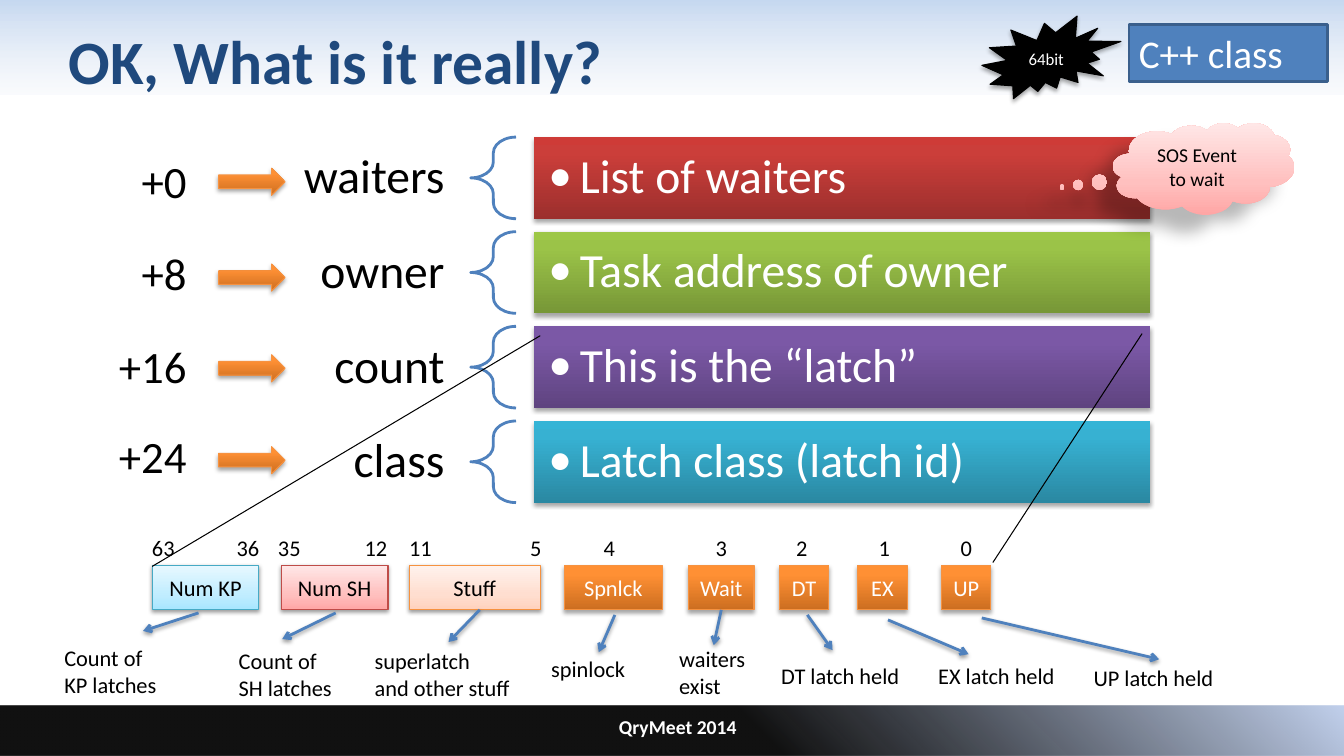
from lxml import etree
from pptx import Presentation
from pptx.dml.color import RGBColor
from pptx.enum import shapes, text
from pptx.oxml.ns import qn
from pptx.util import Pt

# Theme: colours, gradients (position, colour, opacity) and type sizes
def ramp(*cols, mid=80):
    return [(p, c, 100) for p, c in zip((0, mid, 100), cols)]


THEME = {
    "font": "Calibri", "ink": "000000", "white": "FFFFFF",
    "title": "1F497D", "blue": "4F81BD", "edge": "3A5F8C",
    "head": [(0, "C6D9F1", 100), (100, "E1E8F5", 16)],
    "foot": [(56, "000000", 93), (100, "C2D1ED", 100)],
    "red": ramp("9C2F2D", "CB3E3A", "CE3B37"),
    "green": ramp("779737", "9BC348", "9DC746"),
    "violet": ramp("5F4480", "7B58A6", "7C57A8"),
    "teal": ramp("2A88A2", "37B1D2", "34B4D6"),
    "orange": ramp("CC6E20", "FF9034", "FF9136"),
    "peach": ramp("FFD2BD", "FFDED0", "FFF2ED", mid=35),
    "pink": ramp("FFA6A5", "FFC0BF", "FFE7E7", mid=35),
    "sky": ramp("A7E6FF", "C1EDFF", "E7F8FF", mid=35),
    "rim": {"orange": "F69240", "peach": "F69240",
            "pink": "BF4C48", "sky": "46AAC5"},
    "size": {"title": 44, "bar": 34, "offset": 32, "tag": 28,
             "bit": 16, "small": 14, "seal": 12},
}
SOFT = (35, 3.1, 1.8, 90)     # opacity, blur, distance, angle
PALE = (38, 3.1, 1.6, 90)
DEEP = (28, 11.8, 19.7, 141)

# Content
FIELDS = [  # offset, its top, arrow top, field, meaning, colour
    ("+0", 106.6, 120.2, "waiters", "List of waiters", "red"),
    ("+8", 172.1, 188.6, "owner", "Task address of owner", "green"),
    ("+16", 238.3, 253.4, "count", "This is the “latch”", "violet"),
    ("+24", 302.4, 319, "class", "Latch class (latch id)", "teal"),
]
PARTS = [  # label, left, width, colour, caption, its place, arrow from, to
    ("Num KP", 108.7, 76.3, "sky", "Count of\nKP latches",
     (38.9, 456.5, 86.4), (141.8, 437.8), (102.2, 450.7)),
    ("Num SH", 200.9, 76.3, "pink", "Count of\nSH latches",
     (163.4, 458.6, 87.8), (239.8, 437.8), (201.6, 456.5)),
    ("Stuff", 292.3, 93.6, "peach", "superlatch\nand other stuff",
     (260.6, 458.6, 119.5), (342.7, 435.6), (320.4, 458.6)),
    ("Spnlck", 403.2, 69.8, "orange", "spinlock",
     (386.6, 464.4, 72.7), (439.2, 439.2), (427.7, 465.8)),
    ("Wait", 491.8, 46.8, "orange", "waiters\nexist",
     (478.1, 457.2, 69.1), (514.8, 434.9), (509.8, 460.8)),
    ("DT", 556.6, 35.3, "orange", "DT latch held",
     (550.8, 469.4, 107.3), (576.7, 439.2), (594.7, 464.4)),
    ("EX", 612.7, 35.3, "orange", "EX latch held",
     (663.1, 469.4, 105.8), (634.3, 442.8), (691.9, 467.3)),
    ("UP", 672.5, 35.3, "orange", "UP latch held",
     (774, 470.9, 108.7), (701.3, 441.4), (828, 470.9)),
]
BITS = [("63", 101.5), ("36", 162), ("35", 191.5), ("12", 253.4),
        ("11", 285.1), ("5", 371.5), ("4", 424.1), ("3", 504),
        ("2", 561.6), ("1", 620.6), ("0", 679)]
GUIDES = [((385.9, 239.8), (108.7, 404.6)), ((815.8, 238.3), (709.2, 401.8))]

deck = Presentation()
deck.slide_width, deck.slide_height = Pt(960), Pt(540)
slide = deck.slides.add_slide(deck.slide_layouts[6])
SHAPE, ALIGN, ANCHOR = shapes.MSO_SHAPE, text.PP_ALIGN, text.MSO_ANCHOR


# Helpers
def node(root, tag, **attrs):
    return etree.SubElement(root, qn(tag), {k: str(v) for k, v in attrs.items()})


def shade(root, hue, alpha):
    color = node(root, "a:srgbClr", val=hue)
    if alpha < 100:
        node(color, "a:alpha", val=alpha * 1000)


def cast(item, glow=None):
    props = item._element.spPr
    for old in props.findall(qn("a:effectLst")):
        props.remove(old)
    effects = node(props, "a:effectLst")
    if glow:
        alpha, blur, dist, angle = glow
        drop = node(effects, "a:outerShdw", blurRad=Pt(blur), dist=Pt(dist),
                    dir=angle * 60000, algn="ctr", rotWithShape=0)
        shade(drop, THEME["ink"], alpha)


def paint(item, stops, angle):
    item.fill.gradient()
    item.fill.gradient_angle = angle
    chain = item._element.spPr.find(qn("a:gradFill")).find(qn("a:gsLst"))
    for old in list(chain):
        chain.remove(old)
    for pos, hue, alpha in stops:
        shade(node(chain, "a:gs", pos=pos * 1000), hue, alpha)


def stroke(item, hue, width):
    item.line.color.rgb = RGBColor.from_string(hue)
    item.line.width = Pt(width)


def draw(kind, box, fill=None, line=None, width=0.75, glow=None, angle=90):
    item = slide.shapes.add_shape(kind, *map(Pt, box))
    if fill is None:
        item.fill.background()
    elif isinstance(fill, list):
        paint(item, fill, angle)
    else:
        item.fill.solid()
        item.fill.fore_color.rgb = RGBColor.from_string(fill)
    if line:
        stroke(item, line, width)
    else:
        item.line.fill.background()
    cast(item, glow)
    return item


def write(item, words, size, hue="ink", align=ALIGN.LEFT, anchor=ANCHOR.MIDDLE,
          bold=False, wrap=True, pad=(7.2, 3.6), space=None):
    frame = item.text_frame
    frame.text, frame.word_wrap, frame.vertical_anchor = words, wrap, anchor
    frame.margin_left = frame.margin_right = Pt(pad[0])
    frame.margin_top = frame.margin_bottom = Pt(pad[1])
    for para in frame.paragraphs:
        para.alignment, para.line_spacing = align, space
        font = para.font
        font.name, font.bold = THEME["font"], bold
        font.size = Pt(THEME["size"][size])
        font.color.rgb = RGBColor.from_string(THEME[hue])
    return frame


def label(box, words, size, **style):
    return write(slide.shapes.add_textbox(*map(Pt, box)), words, size, **style)


def link(start, end, hue, width):
    item = slide.shapes.add_connector(shapes.MSO_CONNECTOR.STRAIGHT,
                                      *map(Pt, start + end))
    stroke(item, hue, width)
    return item


# Bands, title and footer
draw(SHAPE.RECTANGLE, (0, 0, 960, 67.7), THEME["head"], angle=270)
draw(SHAPE.RECTANGLE, (0, 504, 960, 36), THEME["foot"], angle=45)
label((41.8, -2.2, 864, 90), "OK, What is it really?", "title",
      hue="title", bold=True)
label((272.2, 504, 424, 30.2), "QryMeet 2014", "small", hue="white",
      align=ALIGN.CENTER, bold=True)

# Class fields
for i, (offset, top, tip, name, sense, hue) in enumerate(FIELDS):
    y = 97.9 + 67.6 * i
    label((174.2, y + 2.9, 162, 53.3), name, "bar", align=ALIGN.RIGHT,
          pad=(18.7, 6.5), space=0.9)
    brace = draw(SHAPE.LEFT_BRACE, (336.2, y, 32.4, 58.3),
                 line=THEME["blue"], width=2)
    brace.adjustments[0] = 0.35
    bar = draw(SHAPE.RECTANGLE, (381.6, y, 439.9, 58.3), THEME[hue], glow=SOFT)
    frame = write(bar, sense, "bar", hue="white", pad=(10.1, 10.1), space=0.9)
    props = frame.paragraphs[0]._p.get_or_add_pPr()
    props.set("marL", str(Pt(22.5)))
    props.set("indent", str(-Pt(22.5)))
    node(props, "a:buFont", typeface=THEME["font"])
    node(props, "a:buChar", char="•")
    props.append(props.find(qn("a:defRPr")))  # bullets precede run defaults
    label((77.8, top, 62.6, 46.1), offset, "offset", align=ALIGN.RIGHT,
          anchor=ANCHOR.TOP)
    draw(SHAPE.RIGHT_ARROW, (156.2, tip, 47.5, 19.4), THEME["orange"],
         THEME["rim"]["orange"], glow=SOFT)

# Parts of the latch, with captions
ROW, TALL = 403.9, 31.7
for name, x, wide, hue, note, place, start, end in PARTS:
    strong = hue == "orange"
    box = draw(SHAPE.RECTANGLE, (x, ROW, wide, TALL), THEME[hue],
               THEME["rim"][hue], glow=SOFT if strong else PALE)
    write(box, name, "bit", hue="white" if strong else "ink",
          align=ALIGN.CENTER, wrap=False)
    arrow = link(start, end, THEME["blue"], 2)
    if abs(start[0] - x - wide / 2) < 1 and abs(start[1] - ROW - TALL) < 1:
        arrow.begin_connect(box, 2)
    node(arrow.line._get_or_add_ln(), "a:tailEnd", type="arrow")
    cast(arrow, PALE)
    high = 26.6 + 19.4 * note.count("\n")
    label((*place, high), note, "bit", anchor=ANCHOR.TOP, wrap=False)

# Zoom guides and bit numbers
for start, end in GUIDES:
    cast(link(start, end, THEME["ink"], 0.75))
for bit, x in BITS:
    label((x, 378, 14.8 + 8.3 * len(bit), 26.6), bit, "bit",
          anchor=ANCHOR.TOP, wrap=False)

# Callouts
tag = draw(SHAPE.RECTANGLE, (806.4, 17.3, 141.8, 41.2), THEME["blue"],
           THEME["edge"], 2)
write(tag, "C++ class", "tag", hue="white", anchor=ANCHOR.TOP)
seal = draw(SHAPE.EXPLOSION2, (701.3, 11.5, 99.4, 59), THEME["ink"],
            THEME["ink"], glow=SOFT)
write(seal, "64bit", "seal", hue="white", align=ALIGN.CENTER, wrap=False)
cloud = draw(SHAPE.CLOUD_CALLOUT, (794.9, 87.8, 129.6, 65.5), THEME["pink"],
             glow=DEEP)
cloud.adjustments[0], cloud.adjustments[1] = -0.78, 0.2
write(cloud, "SOS Event to wait", "small", align=ALIGN.CENTER)

deck.save("out.pptx")
